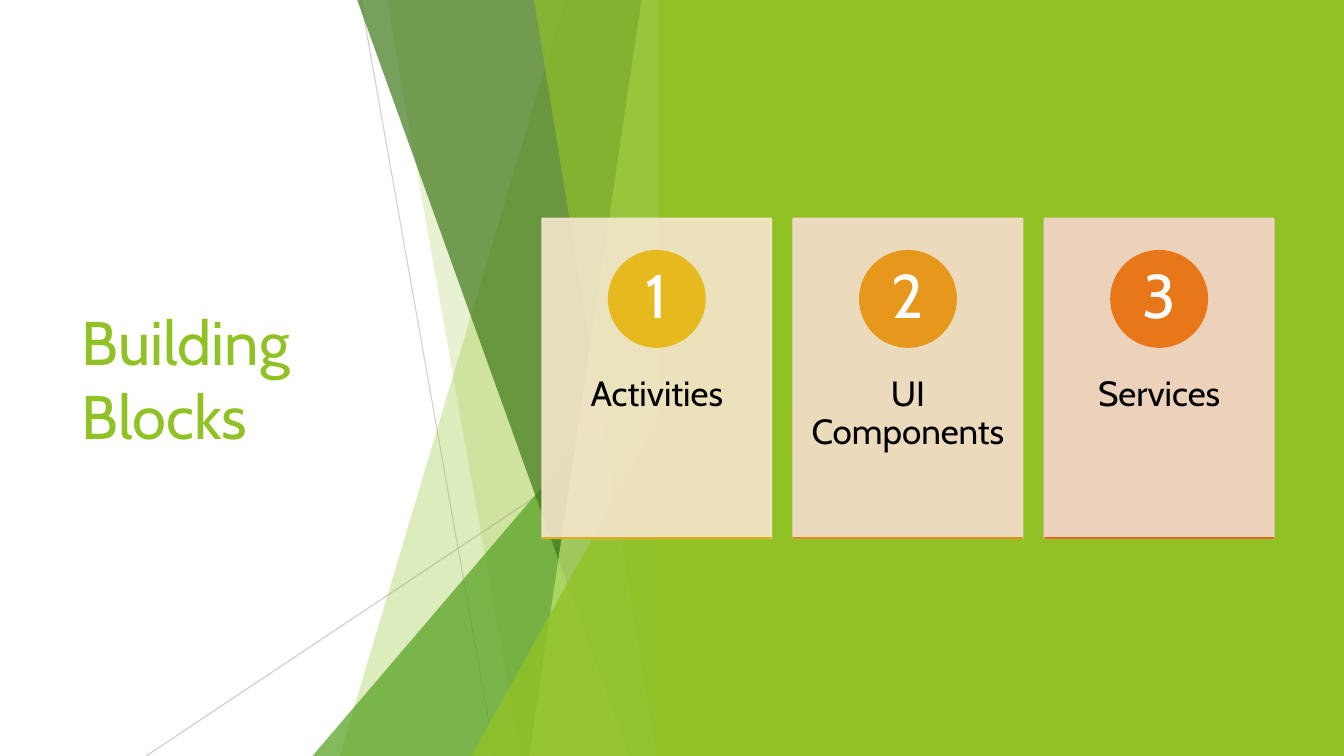
"""Builds the Building Blocks slide: green wedges, a title and three numbered cards."""
from dataclasses import dataclass

from lxml import etree
from pptx import Presentation
from pptx import util as u
from pptx.dml import color as col
from pptx.dml import fill as fl
from pptx.enum import shapes, text
from pptx.oxml import ns
from pptx.shapes import base
from pptx.text import text as tx

WHITE = col.RGBColor(0xFF, 0xFF, 0xFF)
BLACK = col.RGBColor(0x00, 0x00, 0x00)
GREY = col.RGBColor(0xBF, 0xBF, 0xBF)
LIME = col.RGBColor(0x90, 0xC2, 0x26)
GREEN = col.RGBColor(0x54, 0xA0, 0x21)
FOREST = col.RGBColor(0x3F, 0x78, 0x19)
PALE = col.RGBColor(0xC0, 0xE4, 0x74)
SAND = col.RGBColor(0xF5, 0xE6, 0xCD)
PEACH = col.RGBColor(0xF6, 0xDD, 0xCD)
ROSE = col.RGBColor(0xF6, 0xD3, 0xCC)
YELLOW = col.RGBColor(0xE6, 0xB9, 0x1E)
AMBER = col.RGBColor(0xE6, 0x98, 0x1C)
ORANGE = col.RGBColor(0xE7, 0x77, 0x19)
GOLD = col.RGBColor(0xE6, 0xA9, 0x1D)
COPPER = col.RGBColor(0xE7, 0x88, 0x1A)
RUST = col.RGBColor(0xE7, 0x66, 0x18)

FONT = "Cabin"
WIDE, HIGH = 960, 540
EDGE = 479.6
CARD_X, CARD_Y, CARD_W, CARD_H = 387.4, 156.2, 163.5, 228.2
STEP = 179.4
DISC, DISC_Y = 68.4, 179.3
NUM, NUM_Y = 48.2, 189.4


@dataclass
class Ray:
    x1: float
    y1: float
    x2: float
    alpha: int


@dataclass
class Wedge:
    top: float
    foot: float
    hue: col.RGBColor
    alpha: int


@dataclass
class Peak:
    left: float
    top: float
    hue: col.RGBColor
    alpha: int


@dataclass
class Card:
    label: str
    face: col.RGBColor
    disc: col.RGBColor
    base: col.RGBColor


RAYS = [Ray(257.8, 0, 353.5, 75), Ray(EDGE, 290.2, 104.4, 80)]
BACK = [
    Wedge(403.9, 242.6, LIME, 30),
    Wedge(276.2, 371.7, LIME, 20),
    Peak(223.2, 239.8, GREEN, 72),
    Wedge(254.9, 449.3, FOREST, 70),
    Wedge(458.4, 378, PALE, 70),
    Wedge(381.4, 469, LIME, 65),
    Peak(336.7, 283, LIME, 80),
]
CARDS = [
    Card("Activities", SAND, YELLOW, GOLD),
    Card("UI Components", PEACH, AMBER, COPPER),
    Card("Services", ROSE, ORANGE, RUST),
]


def paint(fill: fl.FillFormat, hue: col.RGBColor, alpha: int = 100) -> None:
    fill.solid()
    fill.fore_color.rgb = hue
    if alpha < 100:
        tone = fill._xPr.find(ns.qn("a:solidFill"))[0]
        etree.SubElement(tone, ns.qn("a:alpha")).set("val", str(alpha * 1000))


def finish(shape: base.BaseShape, hue: col.RGBColor, alpha: int = 100,
           edge: float = 0) -> None:
    shape.shadow.inherit = False
    paint(shape.fill, hue, alpha)
    if edge:
        shape.line.width = u.Pt(edge)
        paint(shape.line.fill, hue, alpha)
    else:
        shape.line.fill.background()


def form(slide, kind: shapes.MSO_SHAPE, x: float, y: float, w: float, h: float):
    return slide.shapes.add_shape(kind, u.Pt(x), u.Pt(y), u.Pt(w), u.Pt(h))


def draw_ray(slide, ray: Ray) -> None:
    line = slide.shapes.add_connector(
        shapes.MSO_CONNECTOR.STRAIGHT,
        u.Pt(ray.x1), u.Pt(ray.y1), u.Pt(ray.x2), u.Pt(HIGH))
    line.line.width = u.Pt(0.75)
    paint(line.line.fill, GREY, ray.alpha)
    etree.SubElement(line._element.spPr, ns.qn("a:effectLst"))


def draw_wedge(slide, wedge: Wedge) -> None:
    pen = slide.shapes.build_freeform(u.Pt(wedge.top), u.Pt(-0.7))
    ends = [(EDGE, -0.7), (EDGE, HIGH), (wedge.foot, HIGH)]
    pen.add_line_segments([(u.Pt(x), u.Pt(y)) for x, y in ends], close=True)
    finish(pen.convert_to_shape(), wedge.hue, wedge.alpha)


def draw_peak(slide, peak: Peak) -> None:
    shape = form(slide, shapes.MSO_SHAPE.ISOSCELES_TRIANGLE, peak.left, peak.top,
                 EDGE - peak.left, HIGH - peak.top)
    shape.adjustments[0] = 1
    finish(shape, peak.hue, peak.alpha)


def write(frame: tx.TextFrame, words: str, size: float, hue: col.RGBColor,
          align: text.PP_ALIGN, anchor: text.MSO_ANCHOR) -> None:
    frame.word_wrap = True
    frame.auto_size = text.MSO_AUTO_SIZE.NONE
    frame.vertical_anchor = anchor
    para = frame.paragraphs[0]
    para.alignment = align
    run = para.add_run()
    run.text = words
    run.font.name = FONT
    run.font.size = u.Pt(size)
    run.font.color.rgb = hue


def add_text(slide, x: float, y: float, w: float, h: float, pad: tuple[float, float],
             words: str, size: float, hue: col.RGBColor,
             anchor: text.MSO_ANCHOR) -> None:
    frame = slide.shapes.add_textbox(u.Pt(x), u.Pt(y), u.Pt(w), u.Pt(h)).text_frame
    frame.margin_left = frame.margin_right = u.Pt(pad[0])
    frame.margin_top = frame.margin_bottom = u.Pt(pad[1])
    write(frame, words, size, hue, text.PP_ALIGN.CENTER, anchor)
    frame.paragraphs[0].line_spacing = 0.9


def draw_card(slide, rank: int, card: Card) -> None:
    left = CARD_X + rank * STEP
    mid = left + CARD_W / 2
    face = form(slide, shapes.MSO_SHAPE.RECTANGLE, left, CARD_Y, CARD_W, CARD_H)
    finish(face, card.face, 90, 1.5)
    add_text(slide, left, 243.2, CARD_W, 136.9, (12.75, 25.9),
             card.label, 25, BLACK, text.MSO_ANCHOR.TOP)
    disc = form(slide, shapes.MSO_SHAPE.OVAL, mid - DISC / 2, DISC_Y, DISC, DISC)
    finish(disc, card.disc, edge=1.5)
    add_text(slide, mid - NUM / 2, NUM_Y, NUM, NUM, (5.3, 1),
             str(rank + 1), 44, WHITE, text.MSO_ANCHOR.MIDDLE)
    foot = form(slide, shapes.MSO_SHAPE.RECTANGLE, left, CARD_Y + CARD_H, CARD_W, 0.01)
    finish(foot, card.base, edge=1.5)


def main() -> None:
    deck = Presentation()
    deck.slide_width, deck.slide_height = u.Pt(WIDE), u.Pt(HIGH)
    slide = deck.slides.add_slide(deck.slide_layouts[5])
    paint(slide.background.fill, WHITE)
    for ray in RAYS:
        draw_ray(slide, ray)
    for part in BACK:
        if isinstance(part, Wedge):
            draw_wedge(slide, part)
        else:
            draw_peak(slide, part)
    finish(form(slide, shapes.MSO_SHAPE.RECTANGLE, 470.6, 0, WIDE - 470.6, HIGH), LIME)
    title = slide.shapes.title
    title.left, title.top = u.Pt(51.1), u.Pt(108.7)
    title.width, title.height = u.Pt(279.4), u.Pt(322.6)
    write(title.text_frame, "Building Blocks", 44, LIME,
          text.PP_ALIGN.LEFT, text.MSO_ANCHOR.MIDDLE)
    slide.shapes._spTree.append(title._element)
    for rank, card in enumerate(CARDS):
        draw_card(slide, rank, card)
    deck.save("out.pptx")


if __name__ == "__main__":
    main()
